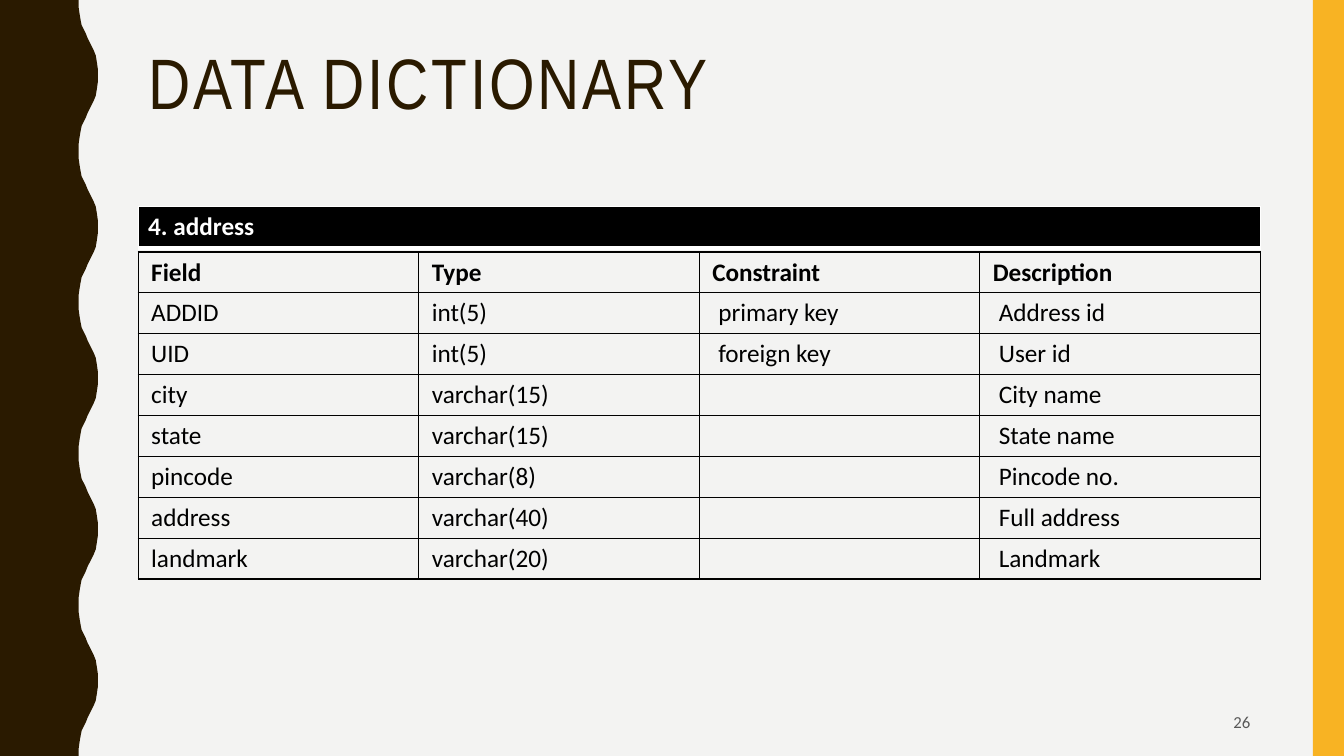
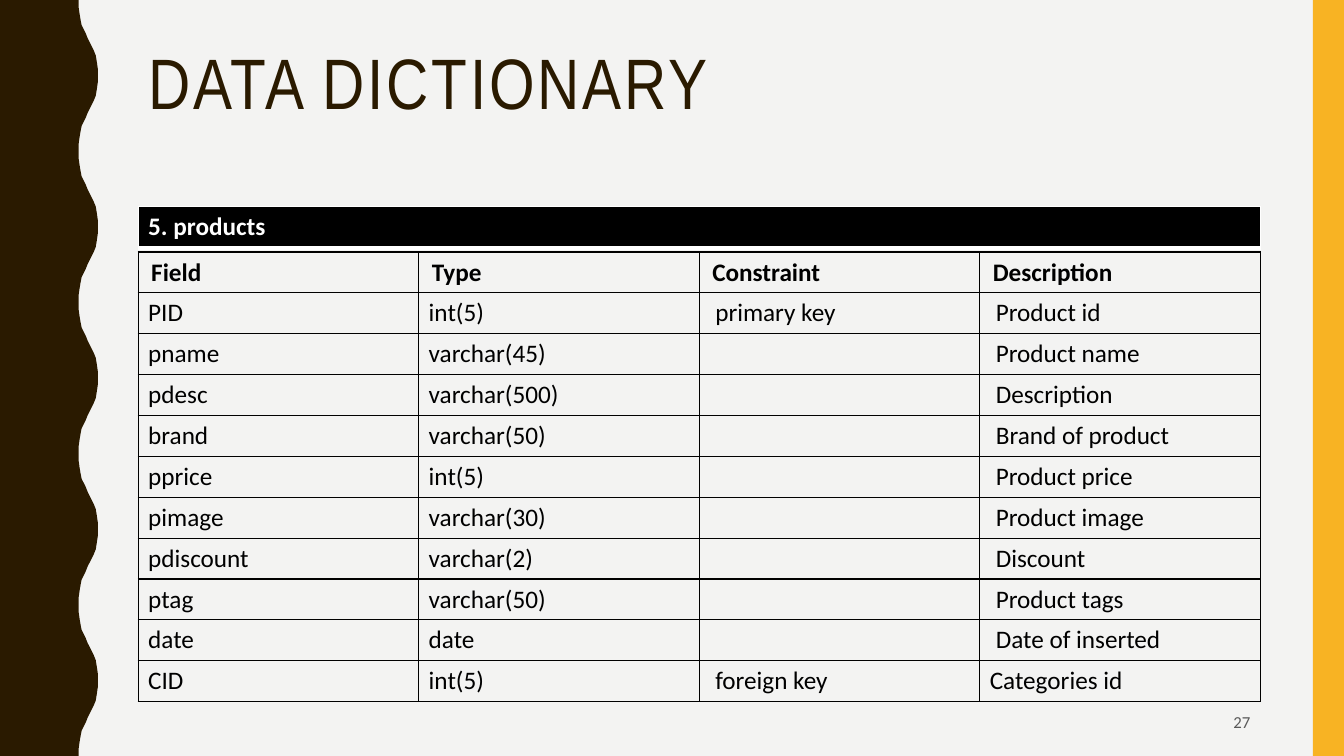
from lxml.etree import SubElement
from pptx import Presentation
from pptx.dml.color import RGBColor
from pptx.enum.shapes import MSO_SHAPE
from pptx.enum.text import MSO_ANCHOR, MSO_AUTO_SIZE, PP_ALIGN
from pptx.oxml.ns import qn
from pptx.util import Pt

PX = 9144
SLIDE_W, SLIDE_H = 1333, 750
LEFT, WIDTH = 137, 1113
ROW_H = 40
INSET, WIDE_INSET, INDENT = 10, 13, 6

BROWN = RGBColor(0x2A, 0x1A, 0x00)
AMBER = RGBColor(0xF8, 0xB3, 0x23)
PAPER = RGBColor(0xF3, 0xF3, 0xF2)
BLACK = RGBColor(0x00, 0x00, 0x00)
WHITE = RGBColor(0xFF, 0xFF, 0xFF)
GREY = RGBColor(0x59, 0x59, 0x59)

TITLE_FONT, BODY_FONT = "Arial Narrow", "Calibri"
WAVE_X, WAVE_PERIOD, WAVE_COUNT = 78, 150, 5
WAVE_RISE = [(0, 0), (0, 7), (1, 14), (2, 20), (3, 25), (5, 29), (7, 33), (9, 38),
             (11, 42), (13, 46), (15, 50), (17, 55), (18, 61), (19, 68)]
WAVE_PEAK = (19, 75)

COLUMNS = ("Field", "Type", "Constraint", "Description")
INDENTED_COLUMNS = (2, 3)
FLUSH_ENTRIES = ("Categories id",)

ADDRESS_FIELDS = [
    ("ADDID", "int(5)", "primary key", "Address id"),
    ("UID", "int(5)", "foreign key", "User id"),
    ("city", "varchar(15)", "", "City name"),
    ("state", "varchar(15)", "", "State name"),
    ("pincode", "varchar(8)", "", "Pincode no."),
    ("address", "varchar(40)", "", "Full address"),
    ("landmark", "varchar(20)", "", "Landmark"),
]
PRODUCT_FIELDS = [
    ("PID", "int(5)", "primary key", "Product id"),
    ("pname", "varchar(45)", "", "Product name"),
    ("pdesc", "varchar(500)", "", "Description"),
    ("brand", "varchar(50)", "", "Brand of product"),
    ("pprice", "int(5)", "", "Product price"),
    ("pimage", "varchar(30)", "", "Product image"),
    ("pdiscount", "varchar(2)", "", "Discount"),
    ("ptag", "varchar(50)", "", "Product tags"),
    ("date", "date", "", "Date of inserted"),
    ("CID", "int(5)", "foreign key", "Categories id"),
]


def box(*lengths):
    return [length * PX for length in lengths]


def style_text(paragraph, font_name, size, color, bold=False):
    font = paragraph.font
    for run in paragraph.runs:
        font = run.font
    font.name, font.size, font.bold = font_name, Pt(size), bold
    font.color.rgb = color


def set_borders(cell, color, widths):
    properties = cell._tc.get_or_add_tcPr()
    for position, (side, width) in enumerate(zip("LRTB", widths)):
        line = SubElement(properties, qn(f"a:ln{side}"), w=str(Pt(width)))
        fill = SubElement(line, qn("a:solidFill"))
        SubElement(fill, qn("a:srgbClr"), val=str(color))
        properties.insert(position, line)


def wave_outline():
    fall = [(x, WAVE_PERIOD - y) for x, y in reversed(WAVE_RISE[1:])]
    period = WAVE_RISE + [WAVE_PEAK] + fall
    edge = [(WAVE_X + x, y + index * WAVE_PERIOD)
            for index in range(WAVE_COUNT) for x, y in period]
    return edge + [(WAVE_X, SLIDE_H), (0, SLIDE_H)]


def decorate_layout(layout, slide):
    layout.background.fill.solid()
    layout.background.fill.fore_color.rgb = PAPER
    title = layout.placeholders[0]
    title.left, title.top, title.width, title.height = box(LEFT, 42, WIDTH, 163)

    builder = slide.shapes.build_freeform(0, 0, scale=PX)
    builder.add_line_segments(wave_outline(), close=True)
    wave = builder.convert_to_shape()
    stripe = slide.shapes.add_shape(MSO_SHAPE.RECTANGLE, *box(1302, 0, 31, SLIDE_H))
    for order, (band, color) in enumerate([(wave, BROWN), (stripe, AMBER)]):
        band.shadow.inherit = False
        band.fill.solid()
        band.fill.fore_color.rgb = color
        band.line.fill.background()
        band.element.nvSpPr.cNvPr.set("id", str(100 + order))
        layout.shapes.element.insert(2 + order, band.element)


def set_title(slide, text):
    frame = slide.shapes.title.text_frame
    frame.text = text
    frame.auto_size = MSO_AUTO_SIZE.NONE
    frame.vertical_anchor = MSO_ANCHOR.TOP
    heading = frame.paragraphs[0]
    heading.alignment = PP_ALIGN.LEFT
    heading.line_spacing = 0.9
    style_text(heading, TITLE_FONT, 51, BROWN)
    heading.runs[0].font._element.set("spc", "200")


def add_plain_table(slide, rows, columns, top, height):
    table = slide.shapes.add_table(rows, columns, *box(LEFT, top, WIDTH, height)).table
    table.first_row = table.horz_banding = False
    return table


def add_field_table(slide, fields, body_inset):
    rows = [COLUMNS] + fields
    table = add_plain_table(slide, len(rows), len(COLUMNS), 250, ROW_H * len(rows))
    for row, entries in enumerate(rows):
        is_header = row == 0
        for column, entry in enumerate(entries):
            cell = table.cell(row, column)
            cell.text_frame.text = entry
            style_text(cell.text_frame.paragraphs[0], BODY_FONT, 18, BLACK, is_header)
            cell.vertical_anchor = MSO_ANCHOR.MIDDLE
            inset = WIDE_INSET if is_header else body_inset
            indented = (not is_header and column in INDENTED_COLUMNS
                        and entry not in FLUSH_ENTRIES)
            cell.margin_left = (inset + INDENT * indented) * PX
            cell.margin_right = inset * PX
            cell.fill.background()
            set_borders(cell, BLACK, (1, 1, 1, 1))


def add_page_number(slide, number):
    frame = slide.shapes.add_textbox(*box(942, 697, 308, 38)).text_frame
    frame.word_wrap = True
    frame.vertical_anchor = MSO_ANCHOR.MIDDLE
    frame.text = str(number)
    frame.paragraphs[0].alignment = PP_ALIGN.RIGHT
    style_text(frame.paragraphs[0], BODY_FONT, 12, GREY)


def add_table_heading(slide, name):
    cell = add_plain_table(slide, 1, 1, 205, 41).cell(0, 0)
    cell.text_frame.text = name
    style_text(cell.text_frame.paragraphs[0], BODY_FONT, 18, WHITE, True)
    cell.fill.solid()
    cell.fill.fore_color.rgb = BLACK
    set_borders(cell, WHITE, (1, 1, 1, 3))


def add_dictionary_slide(slide, number, name, fields, body_inset):
    set_title(slide, "DATA DICTIONARY")
    add_field_table(slide, fields, body_inset)
    add_page_number(slide, number)
    add_table_heading(slide, name)


def main():
    deck = Presentation()
    deck.slide_width, deck.slide_height = box(SLIDE_W, SLIDE_H)
    layout = deck.slide_layouts[5]
    address, products = [deck.slides.add_slide(layout) for _ in range(2)]
    decorate_layout(layout, address)
    add_dictionary_slide(address, 26, "4. address", ADDRESS_FIELDS, WIDE_INSET)
    add_dictionary_slide(products, 27, "5. products", PRODUCT_FIELDS, INSET)
    deck.save("out.pptx")


if __name__ == "__main__":
    main()
